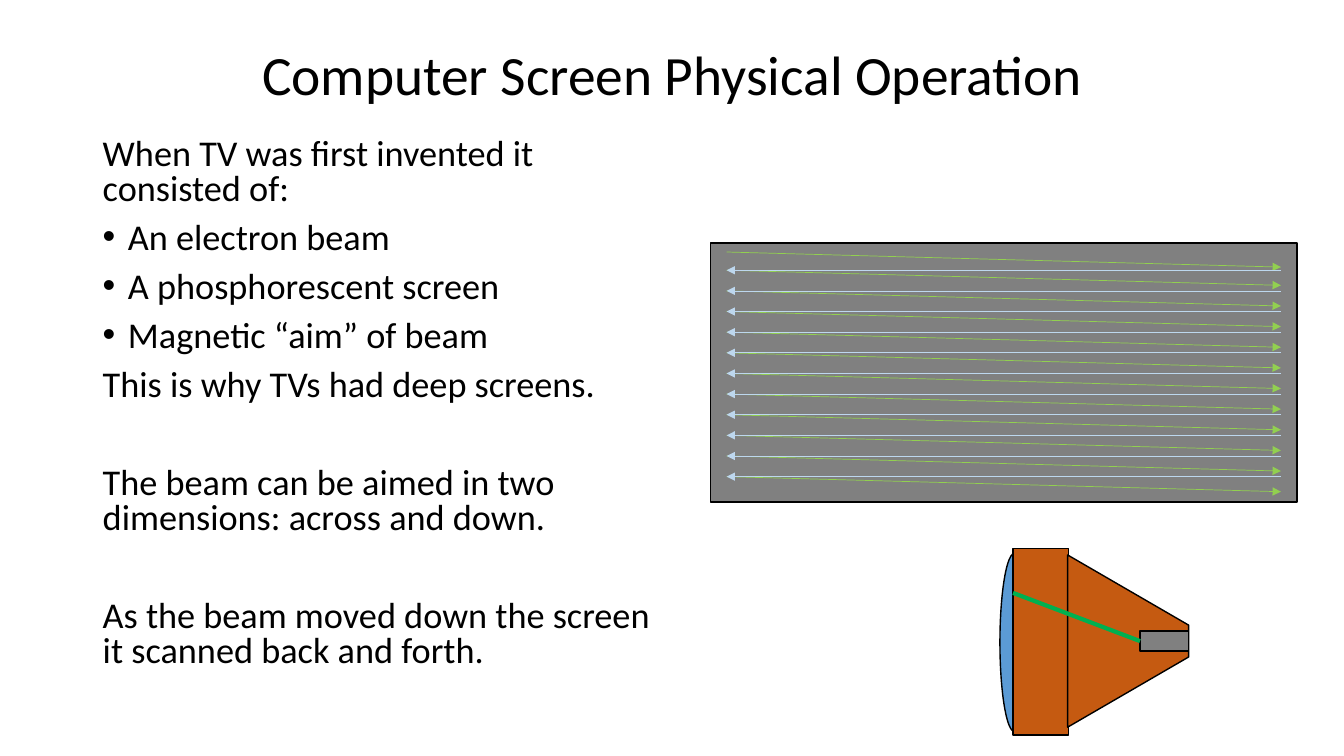
from dataclasses import dataclass

from lxml import etree
from pptx import Presentation
from pptx.dml.color import RGBColor
from pptx.enum import shapes, text
from pptx.oxml import ns
from pptx.util import Cm, Pt


@dataclass(frozen=True)
class Theme:
    """Colours, font and type sizes of the slide."""
    font: str = "Calibri"
    title_size: float = 39.6
    body_size: float = 25.9
    ink: str = "000000"
    grey: str = "808080"
    glass: str = "5B9BD5"
    casing: str = "C55A11"
    scan: str = "92D050"
    retrace: str = "BDD7EE"
    beam: str = "00B050"


@dataclass(frozen=True)
class Box:
    """A region in centimetres."""
    left: float
    top: float
    width: float
    height: float

    def inner(self, left, top, width, height):
        """Return a box placed relative to this one."""
        return Box(self.left + left, self.top + top, width, height)

    def lengths(self):
        """Return the four lengths python-pptx expects."""
        return [Cm(n) for n in (self.left, self.top, self.width, self.height)]


THEME = Theme()
BODY = [
    ("When TV was first invented it consisted of:", False, 0),
    ("An electron beam", True, 10),
    ("A phosphorescent screen", True, 10),
    ("Magnetic “aim” of beam", True, 10),
    ("This is why TVs had deep screens.", False, 10),
    ("The beam can be aimed in two dimensions: across and down.", False, 45.3),
    ("As the beam moved down the screen it scanned back and forth.", False, 45.3),
]


def add_block(slide, kind, box, fill):
    """Add a filled preset shape with a thin black outline."""
    shape = slide.shapes.add_shape(kind, *box.lengths())
    shape.shadow.inherit = False
    shape.fill.solid()
    shape.fill.fore_color.rgb = RGBColor.from_string(fill)
    shape.line.color.rgb = RGBColor.from_string(THEME.ink)
    shape.line.width = Pt(1)
    return shape


def add_line(slide, start, end, color, width, arrow=False):
    """Add a straight line, with an arrowhead at its end if asked."""
    line = slide.shapes.add_connector(
        shapes.MSO_CONNECTOR.STRAIGHT, *[Cm(n) for n in (*start, *end)])
    line.line.color.rgb = RGBColor.from_string(color)
    line.line.width = Pt(width)
    if arrow:
        etree.SubElement(line.line._get_or_add_ln(), ns.qn("a:tailEnd"), type="triangle")
    etree.SubElement(line._element.spPr, ns.qn("a:effectLst"))
    return line


def add_frame(slide, box):
    """Add an empty wrapping text box and return its text frame."""
    frame = slide.shapes.add_textbox(*box.lengths()).text_frame
    frame.word_wrap = True
    return frame


def add_run(paragraph, words, size):
    """Add one run in the slide's font."""
    run = paragraph.add_run()
    run.text = words
    run.font.name = THEME.font
    run.font.size = Pt(size)
    run.font.color.rgb = RGBColor.from_string(THEME.ink)


def add_title(slide, box):
    """Write the centred title."""
    frame = add_frame(slide, box)
    frame.vertical_anchor = text.MSO_ANCHOR.MIDDLE
    paragraph = frame.paragraphs[0]
    paragraph.alignment = text.PP_ALIGN.CENTER
    paragraph.line_spacing = 0.9
    add_run(paragraph, "Computer Screen Physical Operation", THEME.title_size)


def add_body(slide, box):
    """Write the explanation with its bulleted list."""
    frame = add_frame(slide, box)
    for index, (words, bulleted, space) in enumerate(BODY):
        paragraph = frame.add_paragraph() if index else frame.paragraphs[0]
        paragraph.line_spacing = 0.8
        paragraph.space_before = Pt(space)
        if bulleted:
            properties = paragraph._p.get_or_add_pPr()
            properties.set("marL", str(Pt(18)))
            properties.set("indent", str(-Pt(18)))
            etree.SubElement(properties, ns.qn("a:buFont"), typeface="Arial")
            etree.SubElement(properties, ns.qn("a:buChar"), char="•")
        add_run(paragraph, words, THEME.body_size)


def add_screen(slide, box, retraces=11, pitch=0.52, drop=0.38):
    """Draw the screen with its sloping scans and level retraces."""
    add_block(slide, shapes.MSO_SHAPE.RECTANGLE, box, THEME.grey)
    left, right = box.left + 0.4, box.left + 14.37
    first = box.top + 0.23
    add_line(slide, (left, first), (right, first + drop), THEME.scan, 0.5, True)
    for row in range(retraces):
        y = box.top + 0.69 + row * pitch
        add_line(slide, (left, y), (right, y + drop), THEME.scan, 0.5, True)
        add_line(slide, (right, y), (left, y), THEME.retrace, 0.5, True)


def add_tube(slide, box):
    """Draw the side view of the tube: glass, casing, gun and beam."""
    kinds = shapes.MSO_SHAPE
    add_block(slide, kinds.OVAL, box.inner(0, 0.12, 0.74, 4.5), THEME.glass)
    add_block(slide, kinds.RECTANGLE, box.inner(0.33, 0, 1.4, box.height), THEME.casing)
    cone = add_block(slide, kinds.TRAPEZOID, box.inner(1.06, 0.81, 4.34, 3.05), THEME.casing)
    cone.adjustments[0] = 0.58
    cone.rotation = 90
    gun = add_block(slide, kinds.RECTANGLE, box.inner(3.53, 2.08, 1.22, 0.51), THEME.grey)
    beam = add_line(slide, (box.left + 3.53, box.top + 2.33),
                    (box.left + 0.33, box.top + 1.12), THEME.beam, 3)
    beam.begin_connect(gun, 1)


def main():
    """Build and save the slide."""
    presentation = Presentation()
    presentation.slide_width, presentation.slide_height = Cm(33.87), Cm(19.05)
    slide = presentation.slides.add_slide(presentation.slide_layouts[6])
    add_title(slide, Box(2.34, 1.02, 27.94 + 1.27, 1.85))
    add_body(slide, Box(2.34, 3.38, 14.4, 13.77))
    add_screen(slide, Box(17.91, 6.12, 14.78, 6.53))
    add_tube(slide, Box(25.2, 13.82, 4.75, 4.7))
    presentation.save("out.pptx")


if __name__ == "__main__":
    main()
